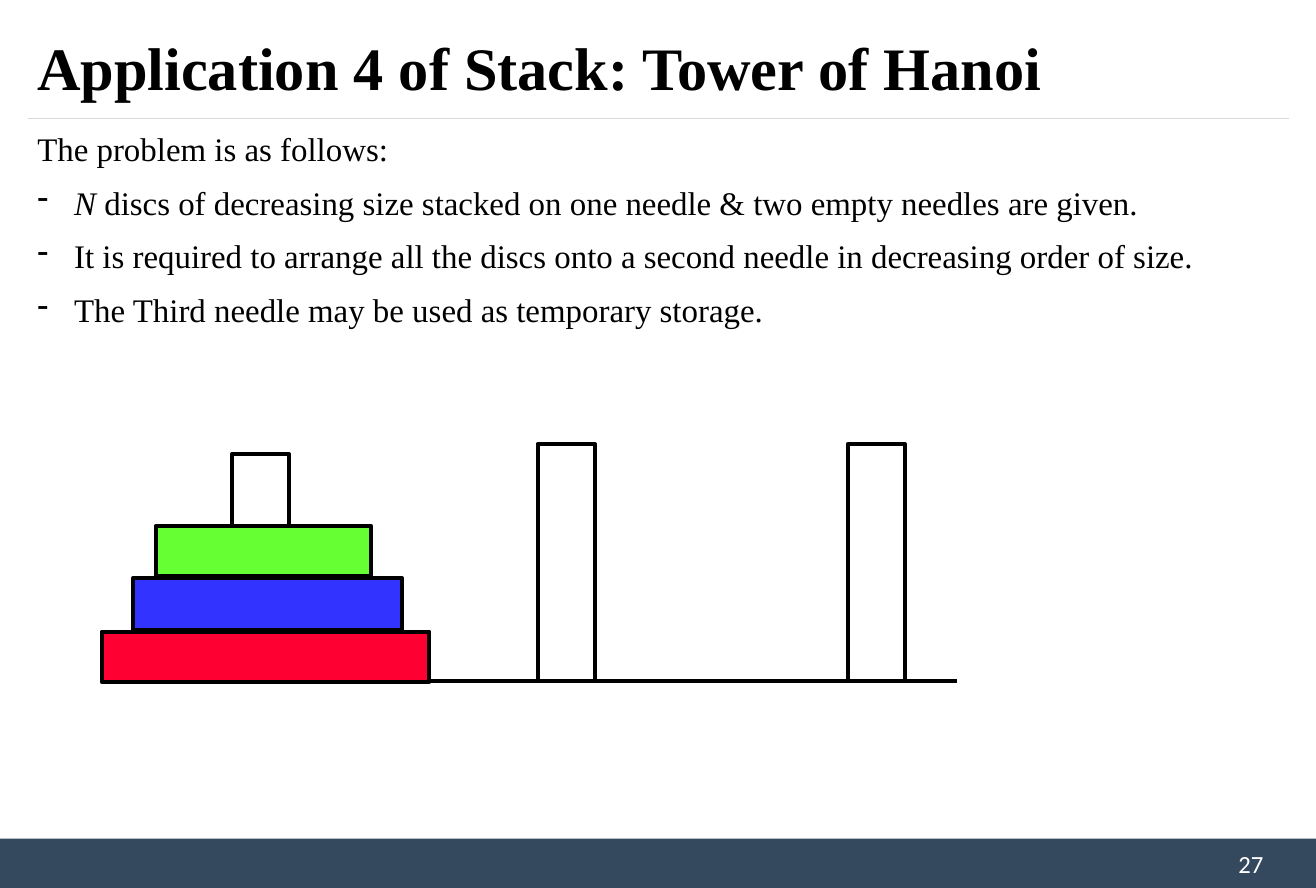
from dataclasses import dataclass

from lxml import etree
from pptx import Presentation
from pptx.dml.color import RGBColor
from pptx.enum.shapes import MSO_CONNECTOR, MSO_SHAPE
from pptx.enum.text import MSO_ANCHOR, PP_ALIGN
from pptx.oxml.ns import qn
from pptx.util import Cm, Pt

RECTANGLE = MSO_SHAPE.RECTANGLE
STRAIGHT = MSO_CONNECTOR.STRAIGHT
TOP, MIDDLE = MSO_ANCHOR.TOP, MSO_ANCHOR.MIDDLE
LEFT, RIGHT = PP_ALIGN.LEFT, PP_ALIGN.RIGHT


@dataclass(frozen=True)
class Theme:
    black: str = "000000"
    white: str = "FFFFFF"
    rule: str = "D9D9D9"
    footer: str = "34495E"
    red: str = "FF0033"
    blue: str = "3333FF"
    green: str = "66FF33"
    heading_font: str = "Times New Roman"
    number_font: str = "Calibri"
    title_size: float = 44
    body_size: float = 24
    number_size: float = 18
    outline: float = 3
    hairline: float = 0.75
    bullet_indent: float = 0.95


class SlideBuilder:
    def __init__(self, slide, theme):
        self.slide = slide
        self.theme = theme

    def rectangle(self, left, top, width, height, fill=None, outlined=True):
        shape = self.slide.shapes.add_shape(
            RECTANGLE, Cm(left), Cm(top), Cm(width), Cm(height))
        shape.shadow.inherit = False
        if fill:
            shape.fill.solid()
            shape.fill.fore_color.rgb = RGBColor.from_string(fill)
        else:
            shape.fill.background()
        if outlined:
            shape.line.color.rgb = RGBColor.from_string(self.theme.black)
            shape.line.width = Pt(self.theme.outline)
        else:
            shape.line.fill.background()
        return shape

    def horizontal_line(self, start, end, y, color, width):
        line = self.slide.shapes.add_connector(
            STRAIGHT, Cm(start), Cm(y), Cm(end), Cm(y))
        line.line.color.rgb = RGBColor.from_string(color)
        line.line.width = Pt(width)
        etree.SubElement(line._element.spPr, qn("a:effectLst"))

    def text_box(self, left, top, width, height, anchor=TOP):
        box = self.slide.shapes.add_textbox(
            Cm(left), Cm(top), Cm(width), Cm(height))
        box.text_frame.word_wrap = True
        box.text_frame.vertical_anchor = anchor
        return box.text_frame

    def fill_paragraph(self, paragraph, runs, color, font_format,
                       paragraph_format):
        """Each run is a pair of its text and whether it is italic."""
        for name, value in paragraph_format.items():
            setattr(paragraph, name, value)
        for text, italic in runs:
            run = paragraph.add_run()
            run.text = text
            for name, value in {**font_format, "italic": italic}.items():
                setattr(run.font, name, value)
            run.font.color.rgb = RGBColor.from_string(color)

    def dash_bullet(self, paragraph):
        properties = paragraph._p.get_or_add_pPr()
        indent = Cm(self.theme.bullet_indent)
        properties.set("marL", str(indent))
        properties.set("indent", str(-indent))
        etree.SubElement(properties, qn("a:buChar"), char="-")


def main():
    theme = Theme()
    presentation = Presentation()
    presentation.slide_width = Cm(33.87)
    presentation.slide_height = Cm(22.86)
    slide = presentation.slides.add_slide(presentation.slide_layouts[6])
    builder = SlideBuilder(slide, theme)

    # Footer bar with the page number
    footer = builder.rectangle(0, 21.59, 33.87, 1.27, theme.footer, False)
    footer.text_frame.vertical_anchor = MIDDLE
    footer.text_frame.margin_right = Cm(1.35)
    builder.fill_paragraph(
        footer.text_frame.paragraphs[0], [("27", False)], theme.white,
        {"name": theme.number_font, "size": Pt(theme.number_size)},
        {"alignment": RIGHT})

    # Title and the rule below it
    builder.horizontal_line(0.71, 33.17, 3.05, theme.rule, theme.hairline)
    title = builder.text_box(0.71, 0.36, 32.46, 2.69, MIDDLE)
    builder.fill_paragraph(
        title.paragraphs[0],
        [("Application 4 of Stack: Tower of Hanoi", False)], theme.black,
        {"name": theme.heading_font, "size": Pt(theme.title_size),
         "bold": True},
        {"alignment": LEFT})

    # Problem statement: an opening line, then dashed points
    statement = [
        [("The problem is as follows:", False)],
        [("N", True),
         (" discs of decreasing size stacked on one needle & two empty "
          "needles are given.", False)],
        [("It is required to arrange all the discs onto a second needle in "
          "decreasing order of size.", False)],
        [("The Third needle may be used as temporary storage.", False)],
    ]
    body = builder.text_box(0.71, 3.05, 32.44, 16.89)
    for number, runs in enumerate(statement):
        paragraph = body.add_paragraph() if number else body.paragraphs[0]
        builder.fill_paragraph(
            paragraph, runs, theme.black,
            {"name": theme.heading_font, "size": Pt(theme.body_size)},
            {"alignment": LEFT, "line_spacing": 1.14,
             "space_before": Pt(6.3)})
        if number:
            builder.dash_bullet(paragraph)

    # Base line and the three needles standing on it
    base = 17.53
    builder.horizontal_line(5.72, 24.64, base, theme.black, theme.outline)
    for left, height in [(5.97, 5.84), (13.84, 6.1), (21.82, 6.1)]:
        builder.rectangle(left, base - height, 1.47, height)

    # Discs on the first needle, largest first
    discs = [
        (2.62, 16.26, 8.43, 1.3, theme.red),
        (3.43, 14.88, 6.91, 1.35, theme.blue),
        (4.01, 13.54, 5.54, 1.3, theme.green),
    ]
    for disc in discs:
        builder.rectangle(*disc)

    presentation.save("out.pptx")


if __name__ == "__main__":
    main()
